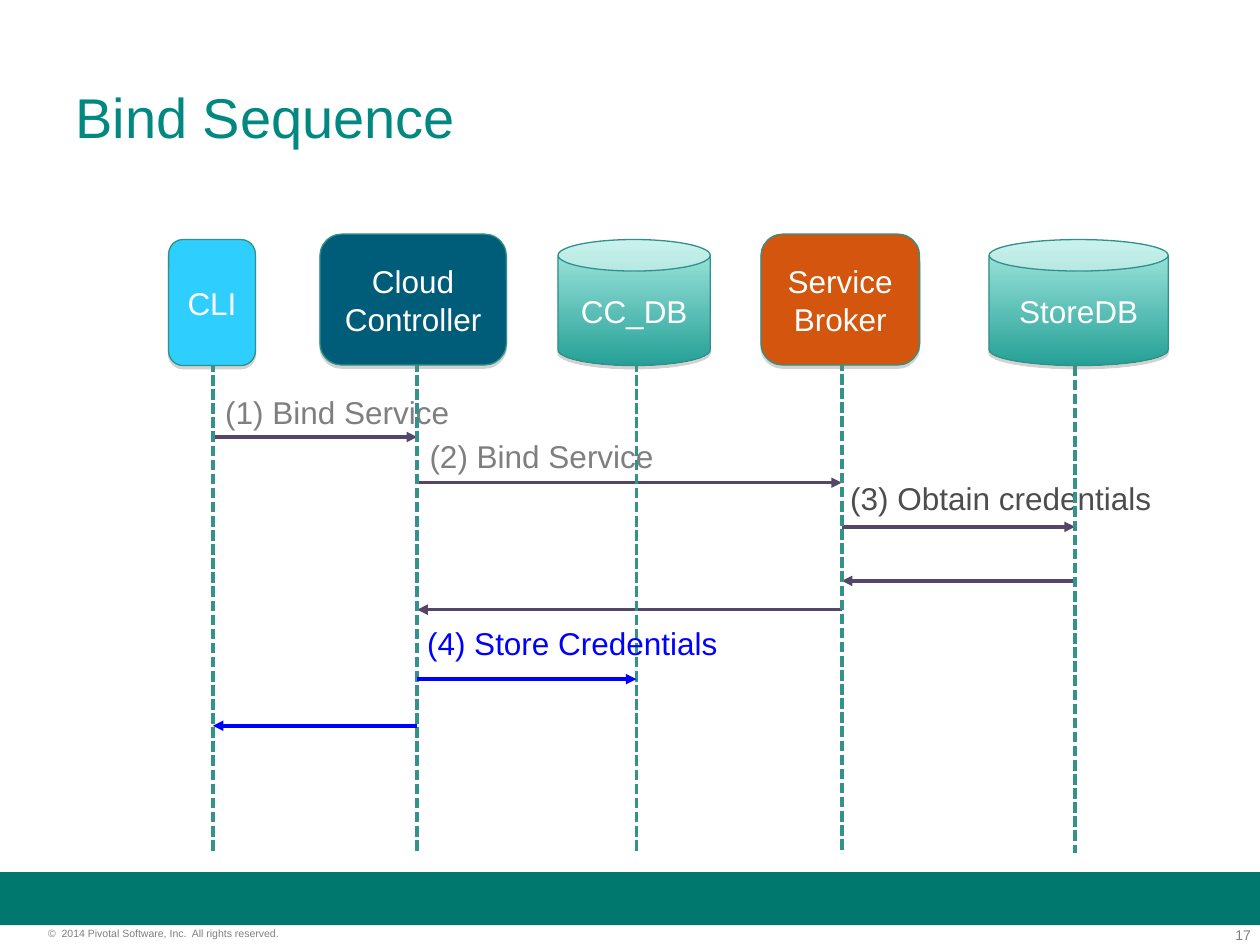
from dataclasses import dataclass

from lxml.etree import SubElement
from pptx import Presentation
from pptx.dml.color import RGBColor
from pptx.enum.dml import MSO_LINE
from pptx.enum.shapes import MSO_CONNECTOR, MSO_SHAPE
from pptx.enum.text import MSO_ANCHOR, PP_ALIGN
from pptx.oxml.ns import qn
from pptx.util import Cm, Pt


@dataclass(frozen=True)
class Theme:
    font: str = "Arial"
    title: str = "008881"
    band: str = "00786E"
    white: str = "FFFFFF"
    grey: str = "7F7F7F"
    dark: str = "4D4D4D"
    arrow: str = "544668"
    store: str = "0000FF"
    lifeline: str = "33928A"
    outline: str = "2F9189"
    shadow: str = "808080"
    cli: str = "2ECEFF"
    controller: str = "005D7A"
    broker: str = "D3550E"
    database: tuple = ("A6EAE2", "25A096")
    title_size: float = 32
    body_size: float = 18
    number_size: float = 8
    copyright_size: float = 6


THEME = Theme()

# Participants: name, shape, fill, left, top, width, height, lifeline x, lifeline top
PARTICIPANTS = {
    "cli": ("CLI", MSO_SHAPE.ROUNDED_RECTANGLE, THEME.cli, 0, 0.11, 1.75, 2.54, 0.89, 1.99),
    "controller": ("Cloud Controller", MSO_SHAPE.ROUNDED_RECTANGLE, THEME.controller,
                   3.05, 0, 3.76, 2.64, 5.01, 1.99),
    "cc_db": ("CC_DB", MSO_SHAPE.CAN, THEME.database, 7.85, 0.11, 3.07, 2.54, 9.43, 1.99),
    "database": ("StoreDB", MSO_SHAPE.CAN, THEME.database, 16.54, 0.11, 3.61, 2.54, 18.27, 2.65),
    "broker": ("Service Broker", MSO_SHAPE.ROUNDED_RECTANGLE, THEME.broker,
               11.94, 0, 3.2, 2.64, 13.57, 2.54),
}

# Messages: sender, receiver, y, colour
BIND_MESSAGES = [
    ("cli", "controller", 4.09, THEME.arrow),
    ("controller", "broker", 5.01, THEME.arrow),
    ("broker", "database", 5.9, THEME.arrow),
    ("database", "broker", 6.99, THEME.arrow),
    ("broker", "controller", 7.57, THEME.arrow),
]
STORE_MESSAGES = [
    ("controller", "cc_db", 8.97, THEME.store),
    ("controller", "cli", 9.91, THEME.store),
]

# Labels: wording, left, top, width, colour
BIND_LABELS = [
    ("(1) Bind Service", 0.89, 3.08, 5.92, THEME.grey),
    ("(2) Bind Service", 5.01, 3.97, 5.92, THEME.grey),
    ("(3) Obtain credentials", 13.49, 4.81, 6.83, THEME.dark),
]
STORE_LABELS = [("(4) Store Credentials", 4.96, 7.73, 6.99, THEME.store)]


def color(value):
    return RGBColor.from_string(value)


def apply_format(target, values):
    for name, value in values.items():
        setattr(target, name, value)


def write(shape, wording, size, tone, align=PP_ALIGN.LEFT, **frame_values):
    frame = shape.text_frame
    apply_format(frame, {"word_wrap": True, **frame_values})
    para = frame.paragraphs[0]
    para.alignment = align
    span = para.add_run()
    span.text = wording
    apply_format(span.font, {"name": THEME.font, "size": Pt(size)})
    span.font.color.rgb = color(tone)


def add_text(page, box, wording, size, tone, align=PP_ALIGN.LEFT, **frame_values):
    shape = page.shapes.add_textbox(*map(Cm, box))
    write(shape, wording, size, tone, align, **frame_values)


def add_line(page, start, end, tone, dash=None, arrow=False):
    line = page.shapes.add_connector(MSO_CONNECTOR.STRAIGHT, *map(Cm, (*start, *end)))
    apply_format(line.line, {"width": Pt(2), "dash_style": dash})
    line.line.color.rgb = color(tone)
    properties = line._element.spPr
    if arrow:
        SubElement(properties.find(qn("a:ln")), qn("a:tailEnd"), type="triangle")
    SubElement(properties, qn("a:effectLst"))


def add_drop_shadow(shape):
    shape.shadow.inherit = False
    effects = shape._element.spPr.find(qn("a:effectLst"))
    shadow = SubElement(effects, qn("a:outerShdw"), blurRad="0", dist=str(Pt(1.8)),
                        dir="5400000", rotWithShape="0")
    tone = SubElement(shadow, qn("a:srgbClr"), val=THEME.shadow)
    SubElement(tone, qn("a:alpha"), val="35000")


def add_title(page, box):
    add_text(page, box, "Bind Sequence", THEME.title_size, THEME.title,
             vertical_anchor=MSO_ANCHOR.MIDDLE)


def add_footer(page, box):
    left, top, width, _ = box
    band = page.shapes.add_shape(MSO_SHAPE.RECTANGLE, *map(Cm, (left, top, width, 1.07)))
    band.shadow.inherit = False
    band.fill.solid()
    band.fill.fore_color.rgb = color(THEME.band)
    band.line.fill.background()
    flush = dict.fromkeys(("margin_left", "margin_top", "margin_right", "margin_bottom"), 0)
    add_text(page, (left + 23.75, top + 1.09, 1.47, 0.33), "17",
             THEME.number_size, THEME.grey, PP_ALIGN.RIGHT, **flush)
    add_text(page, (left + 0.97, top + 1.11, 6.32, 0.25),
             "©  2014 Pivotal Software, Inc.  All rights reserved.",
             THEME.copyright_size, THEME.grey, **flush)


def add_messages(page, box, messages, labels):
    left, top = box[:2]
    for sender, receiver, y, tone in messages:
        start, end = (left + PARTICIPANTS[key][7] for key in (sender, receiver))
        add_line(page, (start, top + y), (end, top + y), tone, arrow=True)
    for wording, x, y, width, tone in labels:
        add_text(page, (left + x, top + y, width, 1.02), wording, THEME.body_size, tone)


def add_lifelines(page, box):
    left, top, _, height = box
    for *_, x, y in PARTICIPANTS.values():
        add_line(page, (left + x, top + y), (left + x, top + height),
                 THEME.lifeline, dash=MSO_LINE.SQUARE_DOT)


def add_participants(page, box):
    left, top = box[:2]
    for name, kind, fill, x, y, width, height, *_ in PARTICIPANTS.values():
        shape = page.shapes.add_shape(kind, *map(Cm, (left + x, top + y, width, height)))
        if kind == MSO_SHAPE.CAN:
            shape.fill.gradient()
            shape.fill.gradient_angle = 270
            for stop, tone, position in zip(shape.fill.gradient_stops, fill, (0, 1)):
                stop.color.rgb = color(tone)
                stop.position = position
        else:
            shape.fill.solid()
            shape.fill.fore_color.rgb = color(fill)
        shape.line.width = Pt(0.75)
        shape.line.color.rgb = color(THEME.outline)
        add_drop_shadow(shape)
        write(shape, name, THEME.body_size, THEME.white, PP_ALIGN.CENTER,
              vertical_anchor=MSO_ANCHOR.MIDDLE)


def add_sequence(page, box):
    # Lifelines run behind the participants and the store step
    add_messages(page, box, BIND_MESSAGES, BIND_LABELS)
    add_lifelines(page, box)
    add_participants(page, box)
    add_messages(page, box, STORE_MESSAGES, STORE_LABELS)


def main():
    deck = Presentation()
    apply_format(deck, {"slide_width": Cm(25.4), "slide_height": Cm(19.05)})
    page = deck.slides.add_slide(deck.slide_layouts[6])
    add_footer(page, (0, 17.58, 25.4, 1.47))
    add_title(page, (1.27, 0.76, 22.86, 3.18))
    add_sequence(page, (3.4, 4.72, 20.32, 12.48))
    deck.save("out.pptx")


if __name__ == "__main__":
    main()
